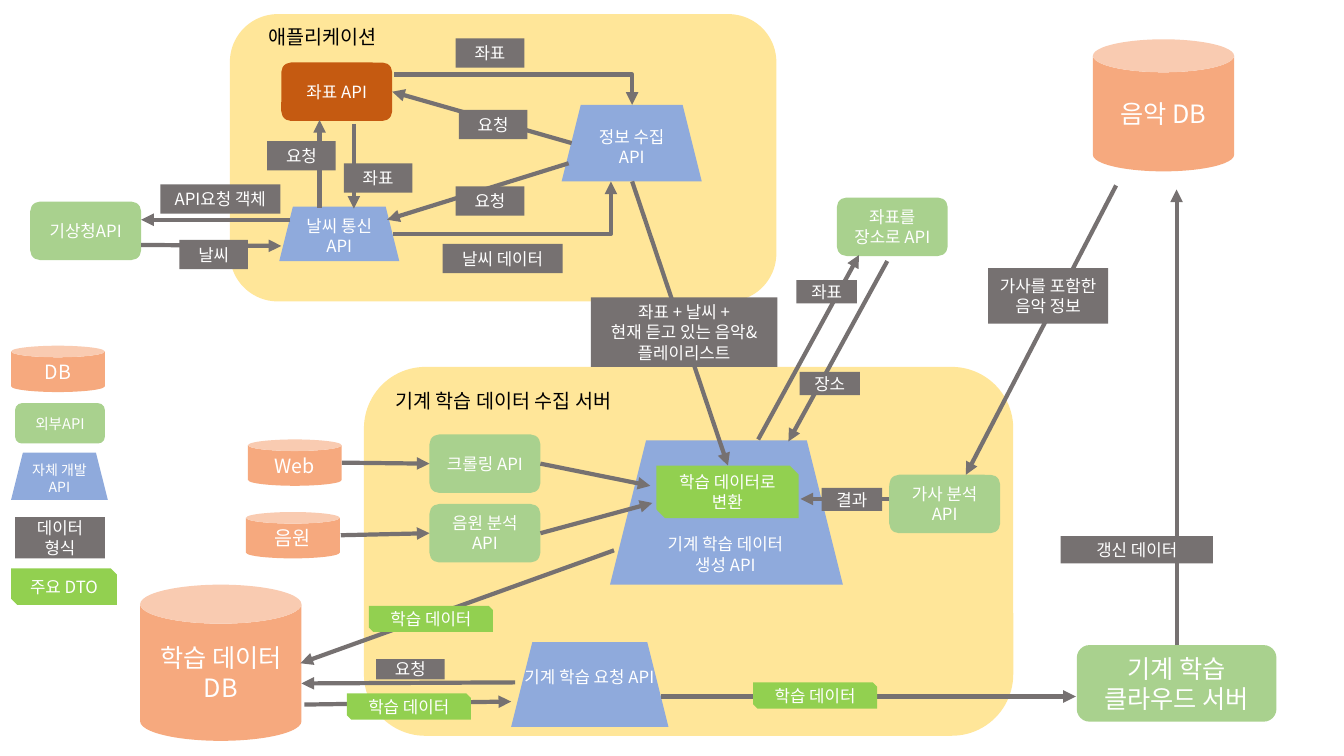
import pptx
import pptx.util
import pptx.dml.color
import pptx.enum.shapes
import pptx.enum.text
import pptx.oxml.ns
import lxml.etree

Inches = pptx.util.Inches
KINDS = pptx.enum.shapes.MSO_SHAPE
LINKS = pptx.enum.shapes.MSO_CONNECTOR
TOP, LEFT, BOTTOM, RIGHT = range(4)
FONT = "Noto Sans CJK KR"
COLORS = {
    "panel": "FFE699", "database": "F6A97E", "external": "A9D18E",
    "own": "8FAADC", "position": "C55A11", "format": "767171",
    "dto": "92D050", "arrow": "767171", "white": "FFFFFF", "black": "000000",
}
SHAPES = {
    "panel": KINDS.ROUNDED_RECTANGLE, "database": KINDS.CAN,
    "external": KINDS.ROUNDED_RECTANGLE, "own": KINDS.TRAPEZOID,
    "position": KINDS.ROUNDED_RECTANGLE, "format": KINDS.RECTANGLE,
    "dto": KINDS.SNIP_2_DIAG_RECTANGLE,
}


def color(name):
    return pptx.dml.color.RGBColor.from_string(COLORS[name])


def write(box, text, size, ink, align):
    """Put text in a box, one paragraph per line."""
    box.text_frame.word_wrap = True
    box.text_frame.text = text
    for para in box.text_frame.paragraphs:
        para.alignment = align
        for span in para.runs:
            span.font.size = pptx.util.Pt(size)
            span.font.name = FONT
            span.font.color.rgb = color(ink)
            east = lxml.etree.SubElement(span.font._element, pptx.oxml.ns.qn("a:ea"))
            east.set("typeface", FONT)


def add_box(page, role, left, top, width, height, text="", size=12):
    """A filled shape whose form and colour follow its role."""
    box = page.shapes.add_shape(
        SHAPES[role], Inches(left), Inches(top), Inches(width), Inches(height))
    box.shadow.inherit = False
    box.fill.solid()
    box.fill.fore_color.rgb = color(role)
    box.line.fill.background()
    if text:
        box.text_frame.vertical_anchor = pptx.enum.text.MSO_ANCHOR.MIDDLE
        write(box, text, size, "white", pptx.enum.text.PP_ALIGN.CENTER)
    return box


def add_caption(page, left, top, width, height, text, size, ink, align):
    box = page.shapes.add_textbox(
        Inches(left), Inches(top), Inches(width), Inches(height))
    write(box, text, size, ink, align)
    box.text_frame.auto_size = pptx.enum.text.MSO_AUTO_SIZE.SHAPE_TO_FIT_TEXT


def add_arrow(page, x1, y1, x2, y2, begin=None, end=None, bent=False):
    """An arrow; begin and end are (box, side) pairs to join."""
    link = page.shapes.add_connector(
        LINKS.ELBOW if bent else LINKS.STRAIGHT,
        Inches(x1), Inches(y1), Inches(x2), Inches(y2))
    if begin:
        link.begin_connect(*begin)
    if end:
        link.end_connect(*end)
    link.line.color.rgb = color("arrow")
    link.line.width = pptx.util.Pt(3)
    qn = pptx.oxml.ns.qn
    properties = link._element.spPr
    if bent:
        # One corner: across first, then up or down
        properties.find(qn("a:prstGeom")).set("prst", "bentConnector2")
    head = lxml.etree.SubElement(properties.find(qn("a:ln")), qn("a:tailEnd"))
    head.set("type", "triangle")
    lxml.etree.SubElement(properties, qn("a:effectLst"))


def add_panels(page):
    left = pptx.enum.text.PP_ALIGN.LEFT
    add_box(page, "panel", 2.28, 0.14, 5.42, 2.85)
    add_box(page, "panel", 3.61, 3.64, 6.44, 3.66)
    add_caption(page, 2.56, 0.2, 2.68, 0.34, "애플리케이션", 14, "black", left)
    add_caption(page, 3.82, 3.81, 2.68, 0.34, "기계 학습 데이터 수집 서버",
                14, "black", left)


def add_legend(page):
    add_box(page, "database", 0.11, 3.43, 0.93, 0.46, "DB", 14)
    add_box(page, "external", 0.15, 4, 0.89, 0.4, "외부API", 10.5)
    add_box(page, "own", 0.11, 4.49, 0.96, 0.47, "자체 개발 API", 10)
    add_box(page, "format", 0.15, 5.13, 0.89, 0.41, "데이터 형식")
    add_box(page, "dto", 0.11, 5.64, 1.05, 0.36, "주요 DTO")


def add_nodes(page):
    """Draw databases and APIs; return those that arrows join."""
    add_box(page, "database", 10.84, 0.39, 1.4, 1.31, "음악 DB", 18)
    add_box(page, "database", 1.39, 5.8, 1.6, 1.55, "학습 데이터\nDB", 18)
    add_box(page, "database", 2.46, 4.36, 0.93, 0.46, "Web", 14)
    add_box(page, "database", 2.44, 5.08, 0.93, 0.46, "음원", 14)

    add_box(page, "own", 2.77, 2.05, 1.19, 0.54, "날씨 통신API")
    add_box(page, "own", 5.57, 1.04, 1.39, 0.76, "정보 수집 API")
    add_box(page, "own", 6.05, 4.37, 2.31, 1.43)
    add_box(page, "own", 5.07, 6.37, 1.56, 0.84)
    center = pptx.enum.text.PP_ALIGN.CENTER
    for left, top, text in ((6.45, 5.25, "기계 학습 데이터 생성 API"),
                            (5.1, 6.57, "기계 학습 요청 API")):
        add_caption(page, left, top, 1.49, 0.5, text, 12, "white", center)

    joined = {"cloud": add_box(page, "external", 10.68, 6.4, 1.98, 0.76,
                               "기계 학습\n클라우드 서버", 18)}
    for name, role, left, top, text in (
            ("position", "position", 2.79, 0.62, "좌표 API"),
            ("weather", "external", 0.3, 2, "기상청API"),
            ("place", "external", 8.3, 1.96, "좌표를 장소로 API"),
            ("crawler", "external", 4.26, 4.31, "크롤링 API"),
            ("sound", "external", 4.26, 5, "음원 분석 API"),
            ("lyrics", "external", 8.82, 4.71, "가사 분석 API")):
        joined[name] = add_box(page, role, left, top, 1.1, 0.58, text)
    return joined


def add_arrows(page, nodes):
    # Inside the application
    add_arrow(page, 3.51, 1.23, 3.51, 2.07)
    add_arrow(page, 3.17, 2.06, 3.17, 1.19)
    add_arrow(page, 5.67, 1.42, 3.89, 0.91, end=(nodes["position"], RIGHT))
    add_arrow(page, 5.64, 1.62, 3.84, 2.18)
    add_arrow(page, 3.91, 0.74, 6.27, 1.04, bent=True)
    add_arrow(page, 3.9, 2.32, 6.06, 1.8, bent=True)
    # Weather service and place service
    add_arrow(page, 2.88, 2.18, 1.4, 2.18)
    add_arrow(page, 1.4, 2.43, 2.79, 2.44)
    add_arrow(page, 7.52, 4.36, 8.52, 2.53)
    add_arrow(page, 8.8, 2.59, 7.82, 4.38)
    # Into the learning data
    add_arrow(page, 6.27, 1.8, 7.22, 4.62)
    add_arrow(page, 3.39, 4.59, 4.26, 4.6, end=(nodes["crawler"], LEFT))
    add_arrow(page, 5.36, 4.6, 6.45, 4.82, begin=(nodes["crawler"], RIGHT))
    add_arrow(page, 3.38, 5.31, 4.26, 5.29, end=(nodes["sound"], LEFT))
    add_arrow(page, 5.36, 5.29, 6.47, 4.99, begin=(nodes["sound"], RIGHT))
    add_arrow(page, 11.07, 1.84, 9.58, 4.71)
    add_arrow(page, 8.82, 4.95, 7.94, 4.95)
    # Storage and cloud training
    add_arrow(page, 6.09, 5.46, 2.98, 6.58)
    add_arrow(page, 5.11, 6.77, 2.99, 6.78)
    add_arrow(page, 3.02, 6.99, 5.07, 6.96)
    add_arrow(page, 6.56, 6.91, 10.67, 6.91)
    add_arrow(page, 11.67, 6.4, 11.67, 1.88, begin=(nodes["cloud"], TOP))


def add_labels(page):
    # Small labels of the application, then of the server
    for left, top, text in ((4.52, 0.38, "좌표"), (4.55, 1.09, "요청"),
                            (2.65, 1.4, "요청"), (3.41, 1.62, "좌표"),
                            (4.52, 1.85, "요청"), (1.78, 2.38, "날씨")):
        add_box(page, "format", left, top, 0.68, 0.29, text)
    for left, top, text in ((7.9, 2.78, "좌표"), (7.93, 3.69, "장소"),
                            (8.15, 4.84, "결과")):
        add_box(page, "format", left, top, 0.6, 0.23, text)
    # Wide labels
    add_box(page, "format", 1.59, 1.83, 1.19, 0.29, "API요청 객체")
    add_box(page, "format", 4.39, 2.42, 1.19, 0.29, "날씨 데이터")
    add_box(page, "format", 9.8, 2.66, 1.19, 0.55, "가사를 포함한 음악 정보")
    add_box(page, "format", 10.52, 5.32, 1.51, 0.27, "갱신 데이터")
    add_box(page, "format", 3.73, 6.54, 0.68, 0.2, "요청")
    add_box(page, "format", 5.86, 2.95, 1.85, 0.69,
            "좌표 + 날씨 +\n현재 듣고 있는 음악&\n플레이리스트")
    # Data transfer objects
    add_box(page, "dto", 6.51, 4.62, 1.41, 0.52, "학습 데이터로 변환")
    for left, top in ((3.66, 6.01), (3.44, 6.88), (7.47, 6.77)):
        add_box(page, "dto", left, top, 1.23, 0.26, "학습 데이터")


def main():
    deck = pptx.Presentation()
    deck.slide_width = Inches(13.33)
    deck.slide_height = Inches(7.5)
    page = deck.slides.add_slide(deck.slide_layouts[6])
    add_panels(page)
    add_legend(page)
    nodes = add_nodes(page)
    add_arrows(page, nodes)
    add_labels(page)
    deck.save("out.pptx")


if __name__ == "__main__":
    main()
